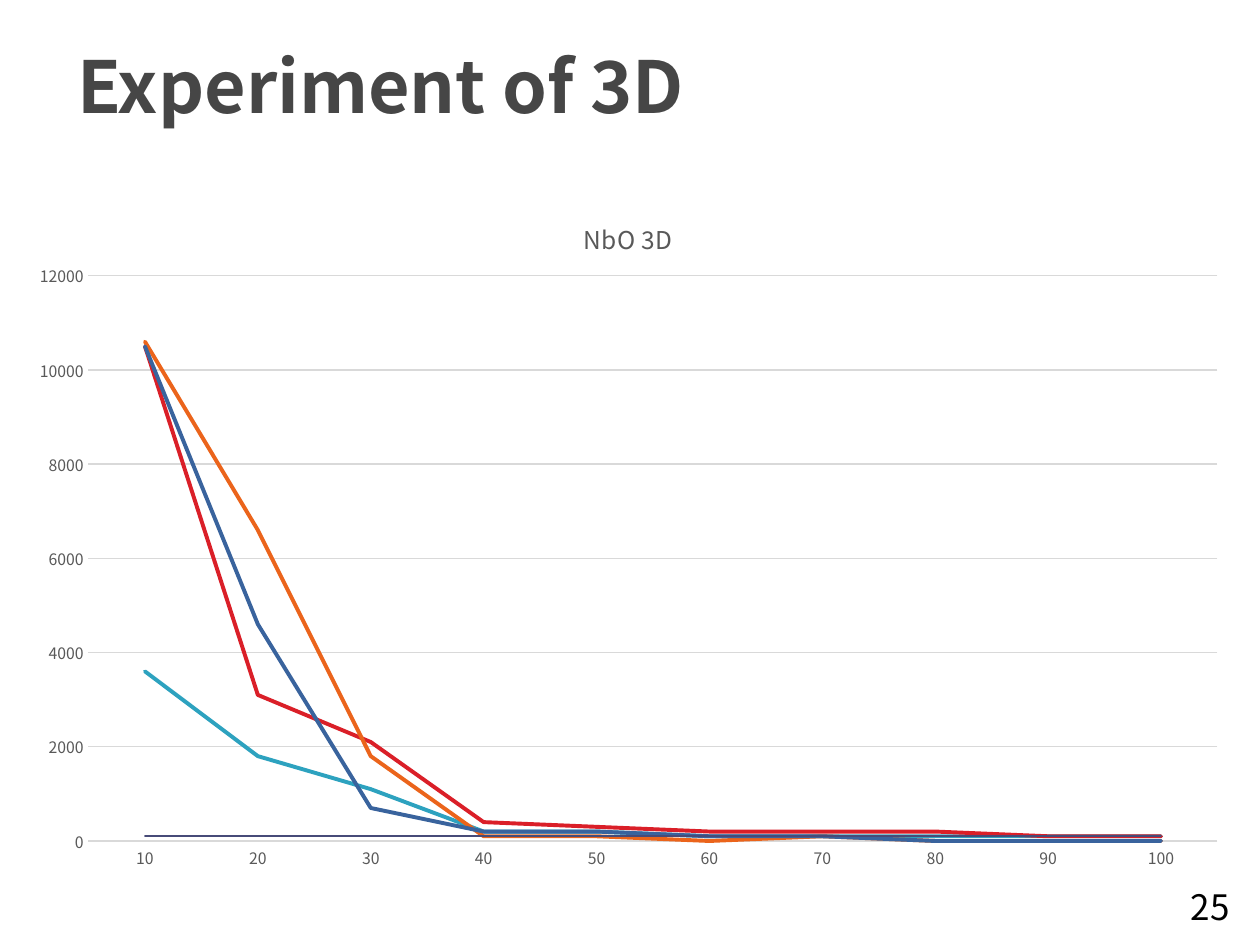
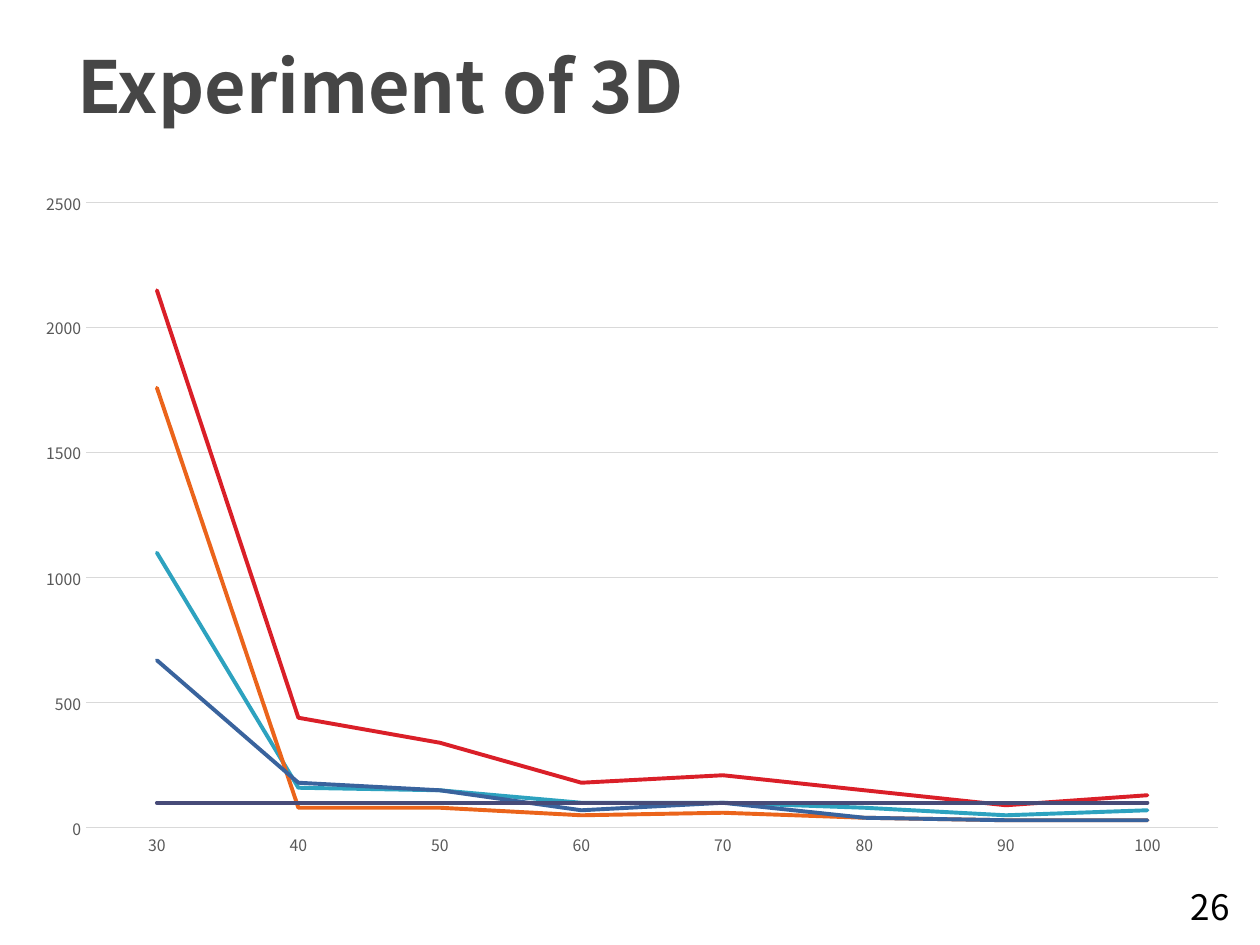
from lxml import etree
from pptx import Presentation
from pptx.chart.data import CategoryChartData
from pptx.dml.color import RGBColor
from pptx.enum.chart import XL_CHART_TYPE, XL_MARKER_STYLE, XL_TICK_MARK
from pptx.enum.text import MSO_ANCHOR, MSO_AUTO_SIZE, PP_ALIGN
from pptx.oxml.ns import qn
from pptx.util import Cm, Pt

LINE = XL_CHART_TYPE.LINE
NO_MARKER = XL_MARKER_STYLE.NONE
NO_TICK = XL_TICK_MARK.NONE
LEFT, RIGHT = PP_ALIGN.LEFT, PP_ALIGN.RIGHT
MIDDLE, BOTTOM = MSO_ANCHOR.MIDDLE, MSO_ANCHOR.BOTTOM
FIXED = MSO_AUTO_SIZE.NONE

FONT = "Noto Sans CJK JP"
COLORS = {
    "title": "464646",
    "number": "000000",
    "label": "595959",
    "grid": "D9D9D9",
}
SERIES_COLORS = ["2DA2BF", "DA1F28", "EB641B", "39639D", "474B78"]
TITLE_AREA = {"left": 1.3, "top": 0.13, "width": 22.86, "height": 3.18}
NUMBER_AREA = (22.91, 17.81, 2.13, 1.02)
THRESHOLD = 100

CHARTS = [
    {
        "number": 25,
        "area": (0.3, 3.73, 24.74, 14.07),
        "plot": {"x": 0.06, "y": 0.13, "w": 0.92, "h": 0.81},
        "title": "NbO 3D",
        "categories": range(10, 101, 10),
        "values": [
            [3600, 1800, 1100, 200, 200, 100, 100, 100, 100, 100],
            [10500, 3100, 2100, 400, 300, 200, 200, 200, 100, 100],
            [10600, 6600, 1800, 100, 100, 0, 100, 0, 0, 0],
            [10500, 4600, 700, 200, 200, 100, 100, 0, 0, 0],
        ],
        "threshold_width": 1,
        "scale": {"minimum_scale": 0, "maximum_scale": 12000, "major_unit": 2000},
    },
    {
        "number": 26,
        "area": (0.51, 3.53, 24.54, 14),
        "plot": {"x": 0.05, "y": 0.04, "w": 0.93, "h": 0.9},
        "title": None,
        "categories": range(30, 101, 10),
        "values": [
            [1100, 160, 150, 100, 100, 80, 50, 70],
            [2150, 440, 340, 180, 210, 150, 90, 130],
            [1760, 80, 80, 50, 60, 40, 30, 30],
            [670, 180, 150, 70, 100, 40, 30, 30],
        ],
        "threshold_width": 2.25,
        "scale": {"minimum_scale": 0, "maximum_scale": 2500, "major_unit": 500},
    },
]


def assign(target, **values):
    for name, value in values.items():
        setattr(target, name, value)


def set_layout(parent, index, values):
    for old in parent.findall(qn("c:layout")):
        parent.remove(old)
    layout = etree.Element(qn("c:layout"))
    parent.insert(index, layout)
    manual = etree.SubElement(layout, qn("c:manualLayout"))
    modes = {"xMode": "edge", "yMode": "edge"}
    if "w" in values:
        modes = {"layoutTarget": "inner", **modes}
    for name, value in {**modes, **values}.items():
        etree.SubElement(manual, qn(f"c:{name}")).set("val", str(value))


class SlideBuilder:
    def __init__(self):
        self.deck = Presentation()
        assign(self.deck, slide_width=Cm(25.4), slide_height=Cm(19.05))
        self.page = None

    def add_page(self):
        self.page = self.deck.slides.add_slide(self.deck.slide_layouts[5])

    def style_font(self, font, size, color, bold=False):
        assign(font, name=FONT, size=Pt(size), bold=bold)
        font.color.rgb = RGBColor.from_string(COLORS[color])

    def style_line(self, line, color, width):
        line.color.rgb = RGBColor.from_string(color)
        line.width = Pt(width)

    def fill_text(self, box, text, size, color, align, anchor, bold=False):
        frame = box.text_frame
        assign(frame, word_wrap=True, auto_size=FIXED, vertical_anchor=anchor)
        para = frame.paragraphs[0]
        para.alignment = align
        span = para.add_run()
        span.text = text
        self.style_font(span.font, size, color, bold)

    def title(self, text):
        box = self.page.shapes.title
        assign(box, **{name: Cm(value) for name, value in TITLE_AREA.items()})
        self.fill_text(box, text, 41, "title", LEFT, MIDDLE, bold=True)

    def page_number(self, number):
        box = self.page.shapes.add_textbox(*map(Cm, NUMBER_AREA))
        self.fill_text(box, str(number), 20, "number", RIGHT, BOTTOM)

    def chart_title(self, chart, text):
        chart.has_title = text is not None
        if not text:
            return
        span = chart.chart_title.text_frame.paragraphs[0].add_run()
        span.text = text
        self.style_font(span.font, 14, "label")
        set_layout(chart.element.xpath("c:chart/c:title")[0], 1, {"x": 0.46, "y": 0.04})

    def axes(self, chart, scale):
        for axis in (chart.category_axis, chart.value_axis):
            assign(axis, major_tick_mark=NO_TICK, minor_tick_mark=NO_TICK)
            self.style_font(axis.tick_labels.font, 9, "label")
        chart.category_axis.has_major_gridlines = False
        self.style_line(chart.category_axis.format.line, COLORS["grid"], 0.75)
        assign(chart.value_axis, has_major_gridlines=True, **scale)
        self.style_line(chart.value_axis.major_gridlines.format.line, COLORS["grid"], 0.75)
        chart.value_axis.format.line.fill.background()

    def line_chart(self, settings):
        data = CategoryChartData()
        data.categories = [str(value) for value in settings["categories"]]
        threshold = [THRESHOLD] * len(settings["categories"])
        for index, values in enumerate([*settings["values"], threshold], start=1):
            data.add_series(f"Series {index}", values)
        chart = self.page.shapes.add_chart(LINE, *map(Cm, settings["area"]), data).chart
        chart.has_legend = False
        self.style_font(chart.font, 10, "number")
        self.chart_title(chart, settings["title"])
        self.axes(chart, settings["scale"])
        widths = [2.25] * len(settings["values"]) + [settings["threshold_width"]]
        for series, color, width in zip(chart.plots[0].series, SERIES_COLORS, widths):
            series.smooth = False
            series.marker.style = NO_MARKER
            self.style_line(series.format.line, color, width)
        chart.plots[0].vary_by_categories = False
        for line in chart.element.xpath(".//c:ser/c:spPr/a:ln"):
            line.set("cap", "rnd")
        set_layout(chart.element.xpath("c:chart/c:plotArea")[0], 0, settings["plot"])


def main():
    builder = SlideBuilder()
    for settings in CHARTS:
        builder.add_page()
        builder.title("Experiment of 3D")
        builder.page_number(settings["number"])
        builder.line_chart(settings)
    builder.deck.save("out.pptx")


if __name__ == "__main__":
    main()
